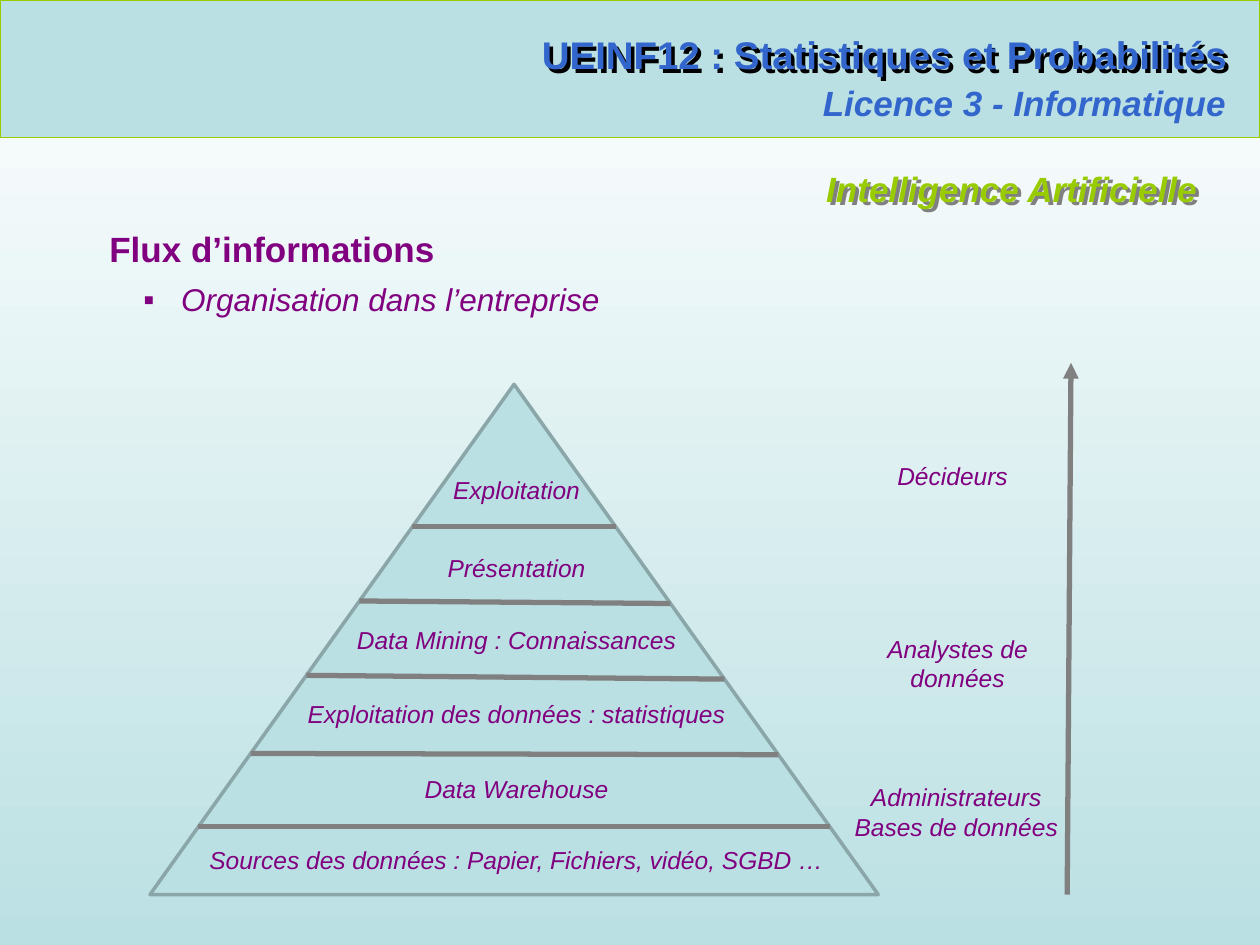
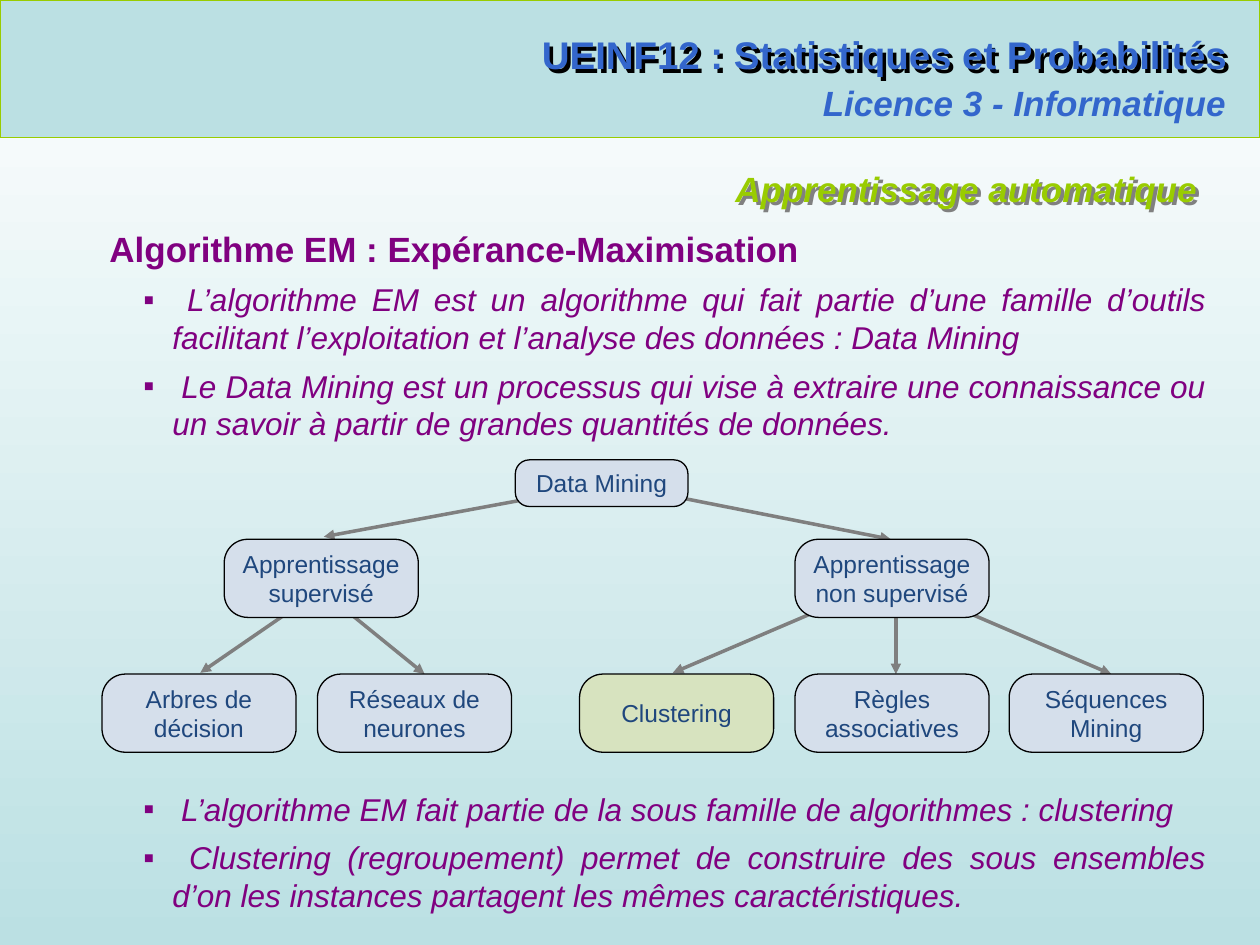
"""Build two course slides: the information pyramid and the data mining tree."""
from lxml.etree import SubElement as Sub
from pptx import Presentation
from pptx.dml.color import RGBColor as Rgb
from pptx.enum.shapes import MSO_CONNECTOR as Conn, MSO_SHAPE as Geo
from pptx.enum.text import MSO_ANCHOR as Anchor, MSO_AUTO_SIZE as Auto, PP_ALIGN as Align
from pptx.oxml.ns import qn
from pptx.util import Inches, Pt

HUES = {
    "white": "FFFFFF", "aqua": "BBE0E3", "lime": "99CC00", "blue": "3366CC",
    "plum": "800080", "edge": "8AA6A8", "gray": "808080", "ash": "7F7F7F",
    "black": "000000", "navy": "1F477D", "sky": "D5DFEB", "leaf": "D7E3BF",
}
INK = {name: Rgb.from_string(code) for name, code in HUES.items()}
FONT = "Arial"

deck = Presentation()
deck.slide_width, deck.slide_height = Inches(10), Inches(7.5)
COL, ROW = deck.slide_width / 100, deck.slide_height / 75


def write(page, area, paras, size, hue, align, bold=False, slant=False,
          wrap=True, after=0, shade=None):
    """Add a text box; a paragraph that starts with a space is a bullet."""
    x, y, w, h = area
    box = page.shapes.add_textbox(int(x * COL), int(y * ROW), int(w * COL), int(h * ROW))
    frame = box.text_frame
    frame.word_wrap = wrap
    frame.auto_size = Auto.SHAPE_TO_FIT_TEXT
    for i, text in enumerate(paras):
        para = frame.paragraphs[0] if i == 0 else frame.add_paragraph()
        para.alignment = align
        para.space_after = Pt(after)
        point = text.startswith(" ")
        if point:
            props = para._p.get_or_add_pPr()
            props.set("marL", str(Inches(0.5)))
            props.set("indent", str(Inches(-0.23)))
            Sub(props, qn("a:buFont"), typeface=FONT)
            Sub(props, qn("a:buChar"), char="▪")
            para.level = 1
        run = para.add_run()
        run.text = text
        font = run.font
        font.name, font.size = FONT, Pt(18 if point else size)
        font.bold, font.italic = bold and not point, slant or point
        font.color.rgb = INK[hue]
    if shade:
        fx = Sub(box._element.spPr, qn("a:effectLst"))
        drop = Sub(fx, qn("a:outerShdw"), dist="36000", dir="2700000", algn="ctr")
        Sub(drop, qn("a:srgbClr"), val=HUES[shade])


def link(page, start, end, hue, width, arrow=False):
    """Join two grid points with a straight line."""
    line = page.shapes.add_connector(
        Conn.STRAIGHT, int(start[0] * COL), int(start[1] * ROW),
        int(end[0] * COL), int(end[1] * ROW))
    line.line.color.rgb = INK[hue]
    line.line.width = Pt(width)
    if arrow:
        Sub(line.line._get_or_add_ln(), qn("a:tailEnd"), type="triangle")
    Sub(line._element.spPr, qn("a:effectLst"))


back = deck.slide_master.background.fill
back.gradient()
back.gradient_angle = 270
for stop, hue in zip(back.gradient_stops, ("white", "aqua")):
    stop.color.rgb = INK[hue]

TOPICS = [
    ("Intelligence Artificielle", 8.2,
     ["Flux d’informations", " Organisation dans l’entreprise"]),
    ("Apprentissage automatique", 19.2,
     ["Algorithme EM : Expérance-Maximisation",
      " L’algorithme EM est un algorithme qui fait partie d’une famille d’outils "
      "facilitant l’exploitation et l’analyse des données : Data Mining",
      " Le Data Mining est un processus qui vise à extraire une connaissance ou "
      "un savoir à partir de grandes quantités de données."]),
]
pages = []
for topic, tall, body in TOPICS:
    page = deck.slides.add_slide(deck.slide_layouts[6])
    pages.append(page)
    band = page.shapes.add_shape(Geo.RECTANGLE, 0, 0, int(100 * COL), int(10.9 * ROW))
    band.shadow.inherit = False
    band.fill.solid()
    band.fill.fore_color.rgb = INK["aqua"]
    band.line.color.rgb = INK["lime"]
    band.line.width = Pt(0.75)
    write(page, (40.4, 2, 58, 4.7), ["UEINF12 : Statistiques et Probabilités"],
          22, "blue", Align.RIGHT, bold=True, wrap=False, shade="black")
    write(page, (64.1, 6, 34.2, 4.4), ["Licence 3 - Informatique"],
          20, "blue", Align.RIGHT, bold=True, slant=True, wrap=False)
    link(page, (3.4, 10.9), (97.6, 10.9), "lime", 0.75)
    write(page, (21.7, 12.8, 74.3, 4.4), [topic], 20, "lime", Align.RIGHT,
          bold=True, slant=True, shade="gray")
    write(page, (7.7, 17.6, 89, tall), body, 20, "plum", Align.JUSTIFY,
          bold=True, after=6)

flow, tree = pages

LEFT, TOP, WIDE, HIGH = 11.9, 30.5, 57.8, 40.5
MID = LEFT + WIDE / 2
cone = flow.shapes.add_shape(Geo.ISOSCELES_TRIANGLE, int(LEFT * COL), int(TOP * ROW),
                             int(WIDE * COL), int(HIGH * ROW))
cone.shadow.inherit = False
cone.fill.solid()
cone.fill.fore_color.rgb = INK["aqua"]
cone.line.color.rgb = INK["edge"]
cone.line.width = Pt(2)

SLOPE = WIDE / 2 / HIGH
for near, far in [(41.8, 41.8), (47.7, 47.9), (53.6, 53.9), (59.8, 59.9), (65.6, 65.6)]:
    link(flow, (MID - (near - TOP) * SLOPE, near), (MID + (far - TOP) * SLOPE, far),
         "gray", 3)

TIERS = [
    ("Exploitation", 37.2, 13.8),
    ("Présentation", 43.4, 13.8),
    ("Data Mining : Connaissances", 49.1, 27.8),
    ("Exploitation des données : statistiques", 55, 35.8),
    ("Data Warehouse", 60.9, 18.6),
    ("Sources des données : Papier, Fichiers, vidéo, SGBD …", 66.6, 50.8),
]
for name, y, wide in TIERS:
    write(flow, (41 - wide / 2, y, wide, 3.4), [name], 14, "plum", Align.CENTER,
          slant=True, after=6)

link(flow, (84.7, 71), (85, 28.8), "gray", 3, arrow=True)
ROLES = [
    (["Décideurs"], (70.2, 36.1, 10.8, 3.4)),
    (["Analystes de", "données"], (69.1, 49.8, 13.8, 5.7)),
    (["Administrateurs", "Bases de données"], (66.8, 61.6, 18.2, 5.7)),
]
for names, area in ROLES:
    write(flow, area, names, 14, "plum", Align.CENTER, slant=True, wrap=False)

LINKS = [
    ((48.4, 38.4), (25.7, 42.6)), ((48.4, 38.4), (70.7, 42.8)),
    ((25.2, 47), (15.9, 53.4)), ((25.7, 47), (33.7, 53.5)),
    ((70.7, 46), (53.4, 53.4)), ((71.1, 46), (71.1, 53.5)),
    ((70.7, 46), (88.2, 53.5)),
]
for start, end in LINKS:
    link(tree, start, end, "ash", 2, arrow=True)

TALL, SPAN = 6.2, 15.4
NODES = [
    (["Data Mining"], 40.9, 36.5, 13.7, 3.7),
    (["Apprentissage", "supervisé"], 17.8, 42.8, SPAN, TALL),
    (["Apprentissage", "non supervisé"], 63.1, 42.8, SPAN, TALL),
    (["Arbres de décision"], 8.1, 53.5, SPAN, TALL),
    (["Réseaux de neurones"], 25.2, 53.5, SPAN, TALL),
    (["Clustering"], 46, 53.5, SPAN, TALL),
    (["Règles associatives"], 63.1, 53.5, SPAN, TALL),
    (["Séquences Mining"], 80.1, 53.5, SPAN, TALL),
]
for names, x, y, wide, tall in NODES:
    node = tree.shapes.add_shape(Geo.ROUNDED_RECTANGLE, int(x * COL), int(y * ROW),
                                 int(wide * COL), int(tall * ROW))
    node.adjustments[0] = 0.3
    node.shadow.inherit = False
    node.fill.solid()
    node.fill.fore_color.rgb = INK["leaf" if names == ["Clustering"] else "sky"]
    node.line.color.rgb = INK["black"]
    node.line.width = Pt(0)
    frame = node.text_frame
    frame.word_wrap = True
    frame.vertical_anchor = Anchor.MIDDLE
    frame.margin_left = frame.margin_right = int(0.4 * COL)
    frame.margin_top = frame.margin_bottom = 0
    for i, name in enumerate(names):
        para = frame.paragraphs[0] if i == 0 else frame.add_paragraph()
        para.alignment = Align.CENTER
        run = para.add_run()
        run.text = name
        run.font.name, run.font.size = FONT, Pt(14)
        run.font.color.rgb = INK["navy"]

write(tree, (7.7, 62.2, 89, 11.3),
      [" L’algorithme EM fait partie de la sous famille de algorithmes : clustering",
       " Clustering (regroupement) permet de construire des sous ensembles "
       "d’on les instances partagent les mêmes caractéristiques."],
      18, "plum", Align.JUSTIFY, after=6)

deck.save("out.pptx")
